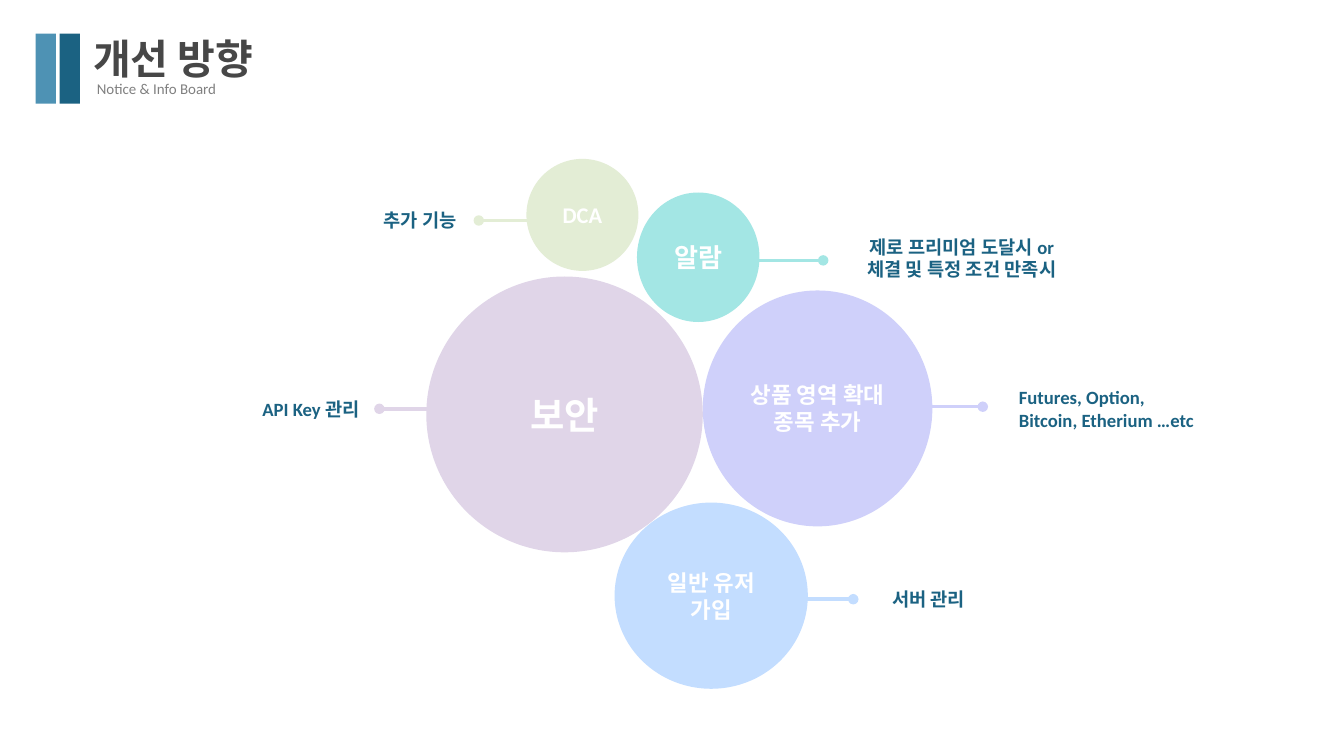
import pptx
import pptx.util
import pptx.dml.color
import pptx.enum.shapes
import pptx.enum.text
import pptx.oxml
import pptx.oxml.ns

PX = 9525  # EMU per px, 96 px to the inch
COLORS = {
    "light_blue": "4E92B4", "dark_blue": "1B6282", "title": "474747",
    "gray": "808080", "white": "FFFFFF", "lilac": "E0D5E8",
    "violet": "CFD0FA", "teal": "A3E6E4", "green": "E3EDD5", "sky": "C3DDFF",
}
HANGUL_FONT = "Noto Sans CJK SC"
SHAPE = pptx.enum.shapes.MSO_SHAPE
ALIGN = pptx.enum.text.PP_ALIGN
ANCHOR = pptx.enum.text.MSO_ANCHOR
LINE_LENGTH = 91

# Circle box, colour, text, text size; then, relative to the circle's corner,
# line start, line direction and label box; last the label text and alignment.
TOPICS = [
    ((609, 395, 395, 394), "lilac", ["보안"], 40,
     (24, 189), -1, (-476, 168, 390, 42), ["API Key 관리"], ALIGN.RIGHT),
    ((1004, 415, 328, 337), "violet", ["상품 영역 확대", "종목 추가"], 24,
     (309, 166), 1, (442, 132, 390, 74),
     ["Futures, Option,", "Bitcoin, Etherium …etc"], ALIGN.LEFT),
    ((910, 275, 175, 185), "teal", ["알람"], 28,
     (175, 97), 1, (269, 57, 390, 74),
     ["제로 프리미엄 도달시 or", "체결 및 특정 조건 만족시"], ALIGN.CENTER),
    ((752, 227, 160, 160), "green", ["DCA"], 24,
     (23, 88), -1, (-480, 67, 390, 42), ["추가 기능"], ALIGN.RIGHT),
    ((878, 718, 276, 266), "sky", ["일반 유저", "가입"], 24,
     (250, 138), 1, (387, 117, 390, 42), ["서버 관리"], ALIGN.LEFT),
]


def px(*values):
    return [pptx.util.Emu(v * PX) for v in values]


def rgb(name):
    return pptx.dml.color.RGBColor.from_string(COLORS[name])


def xml(tag, attributes=""):
    ns = pptx.oxml.ns.nsdecls("a")
    return pptx.oxml.parse_xml(f"<a:{tag} {ns} {attributes}/>")


def write(tf, lines, size, color, bold=True, align=ALIGN.LEFT, font="Calibri"):
    tf.word_wrap = True
    for i, line in enumerate(lines):
        p = tf.paragraphs[0] if i == 0 else tf.add_paragraph()
        p.alignment = align
        r = p.add_run()
        r.text = line
        formats = {"name": font, "size": pptx.util.Pt(size), "bold": bold}
        for key, value in formats.items():
            setattr(r.font, key, value)
        r.font.color.rgb = rgb(color)
        latin = r._r.get_or_add_rPr().find(pptx.oxml.ns.qn("a:latin"))
        latin.addnext(xml("ea", f'typeface="{HANGUL_FONT}"'))


def add_filled(s, kind, box, color):
    sp = s.shapes.add_shape(kind, *px(*box))
    sp.shadow.inherit = False
    sp.fill.solid()
    sp.fill.fore_color.rgb = rgb(color)
    sp.line.fill.background()
    return sp


def add_heading(s, x, y):
    # Two bars
    for dx, color in ((0, "light_blue"), (34, "dark_blue")):
        add_filled(s, SHAPE.RECTANGLE, (x + dx, y, 29, 100), color)

    # Subtitle
    subtitle = s.shapes.add_textbox(*px(x + 78, y + 61, 480, 36))
    write(subtitle.text_frame, ["Notice & Info Board"], 16, "gray", bold=False)

    # Title
    title = s.shapes.title
    title.left, title.top, title.width, title.height = px(x + 82, y - 12, 371, 79)
    tf = title.text_frame
    for side in ("left", "top", "right", "bottom"):
        setattr(tf, f"margin_{side}", 0)
    tf.vertical_anchor = ANCHOR.TOP
    tf.auto_size = pptx.enum.text.MSO_AUTO_SIZE.NONE
    write(tf, ["개선 방향"], 44, "title", font=HANGUL_FONT)
    tf.paragraphs[0].line_spacing = pptx.util.Pt(61.7)


def add_topic(s, box, color, text, size, start, direction, label_box, label, align):
    x, y = box[:2]

    # Leader line with a round end
    x1, y1 = x + start[0], y + start[1]
    line = s.shapes.add_connector(
        pptx.enum.shapes.MSO_CONNECTOR.STRAIGHT,
        *px(x1, y1, x1 + direction * LINE_LENGTH, y1))
    line.line.color.rgb = rgb(color)
    line.line.width = pptx.util.Pt(3.75)
    line.line._get_or_add_ln().append(xml("tailEnd", 'type="oval"'))
    line._element.spPr.append(xml("effectLst"))

    # Circle
    circle = add_filled(s, SHAPE.OVAL, box, color)
    circle.text_frame.vertical_anchor = ANCHOR.MIDDLE
    write(circle.text_frame, text, size, "white", align=ALIGN.CENTER)

    # Label
    dx, dy, w, h = label_box
    tb = s.shapes.add_textbox(*px(x + dx, y + dy, w, h))
    write(tb.text_frame, label, 20, "dark_blue", align=align)


def main():
    prs = pptx.Presentation()
    prs.slide_width, prs.slide_height = px(1920, 1080)
    s = prs.slides.add_slide(prs.slide_layouts.get_by_name("Title Only"))
    add_heading(s, 51, 48)
    for topic in TOPICS:
        add_topic(s, *topic)
    prs.save("out.pptx")


if __name__ == "__main__":
    main()
